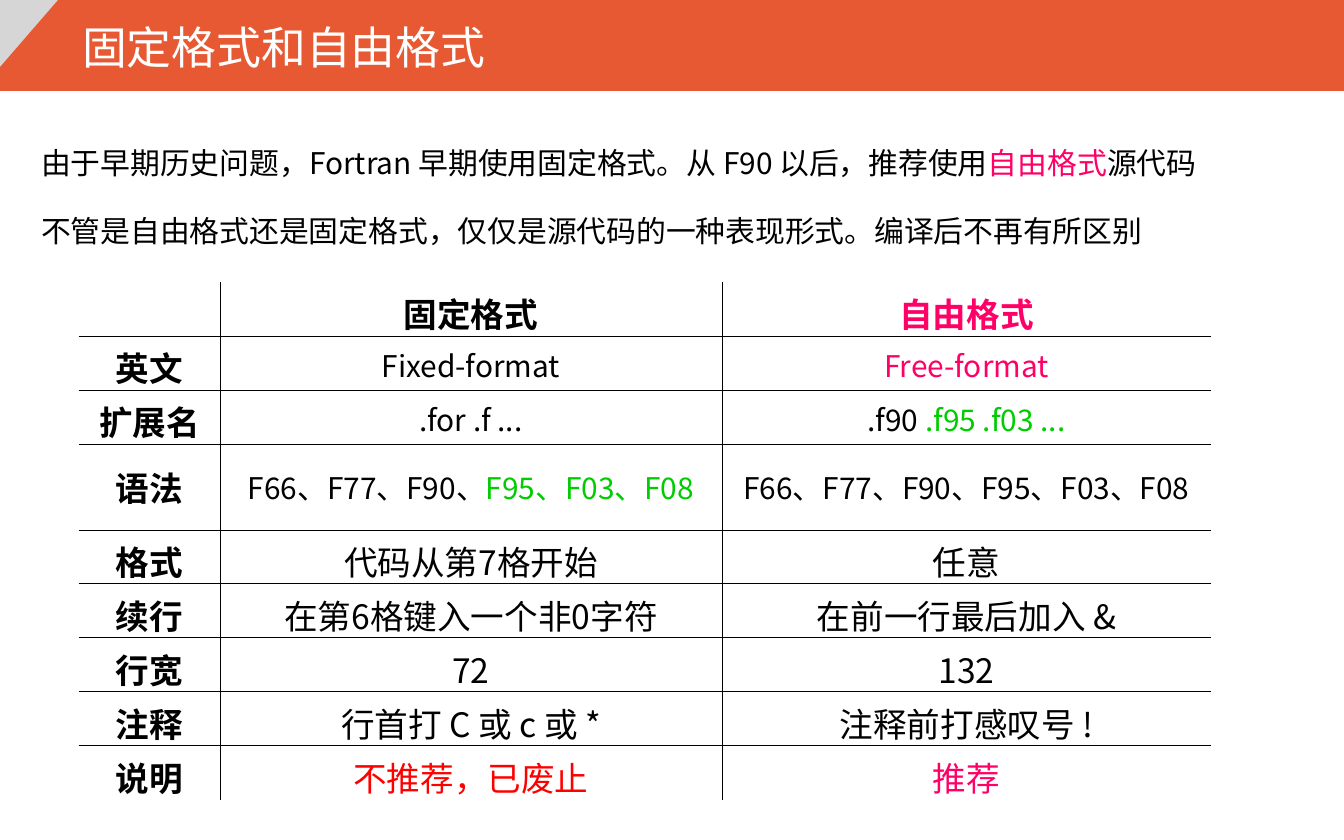
from lxml.etree import SubElement
from pptx import Presentation
from pptx.dml.color import RGBColor
from pptx.enum.shapes import MSO_SHAPE as SHAPE
from pptx.enum.text import MSO_ANCHOR as ANCHOR, PP_ALIGN as ALIGN
from pptx.oxml.ns import qn
from pptx.util import Emu, Pt

ORANGE = RGBColor(0xE7, 0x59, 0x33)
GREY = RGBColor(0xD6, 0xD6, 0xD6)
WHITE = RGBColor(0xFF, 0xFF, 0xFF)
BLACK = RGBColor(0, 0, 0)
PINK = RGBColor(0xFF, 0, 0x66)
GREEN = RGBColor(0, 0xCC, 0)
RED = RGBColor(0xFF, 0, 0)
NOTO, CALIBRI = "Noto Sans CJK SC", "Calibri"

TITLE = [[("固定格式和自由格式", WHITE)]]
INTRO = [
    [("由于早期历史问题，Fortran 早期使用固定格式。从 F90 以后，推荐使用", BLACK),
     ("自由格式", PINK), ("源代码", BLACK)],
    [("不管是自由格式还是固定格式，仅仅是源代码的一种表现形式。编译后不再有所区别", BLACK)],
]
ROWS = [
    ("", [("固定格式", BLACK)], [("自由格式", PINK)]),
    ("英文", [("Fixed-format", BLACK)], [("Free-format", PINK)]),
    ("扩展名", [(".for .f ...", BLACK)], [(".f90 ", BLACK), (".f95 .f03 ...", GREEN)]),
    ("语法", [("F66、F77、F90、", BLACK), ("F95、F03、F08", GREEN)],
     [("F66、F77、F90、F95、F03、F08", BLACK)]),
    ("格式", [("代码从第7格开始", BLACK)], [("任意", BLACK)]),
    ("续行", [("在第6格键入一个非0字符", BLACK)], [("在前一行最后加入 &", BLACK)]),
    ("行宽", [("72", BLACK)], [("132", BLACK)]),
    ("注释", [("行首打 C 或 c 或 *", BLACK)], [("注释前打感叹号 !", BLACK)]),
    ("说明", [("不推荐，已废止", RED)], [("推荐", PINK)]),
]
COLS = [141, 502, 489]
ROW_H, TALL_ROW, TALL_H = 54, 3, 86
SMALL_ROWS = (1, 2, 3)
LAST_ROW, LAST_COL = len(ROWS) - 1, len(COLS) - 1


def px(n):
    return Emu(round(n * 914400 / 134.4))


def add_runs(p, runs, size, font=NOTO, bold=False):
    for text, color in runs:
        r = p.add_run()
        r.text = text
        r.font.size = Pt(size)
        r.font.name = font
        r.font.bold = bold
        r.font.color.rgb = color
        SubElement(r.font._element, qn("a:ea")).set("typeface", NOTO)


def add_text(x, y, w, h, paragraphs, size, spacing=None):
    tf = slide.shapes.add_textbox(px(x), px(y), px(w), px(h)).text_frame
    tf.word_wrap = True
    for i, runs in enumerate(paragraphs):
        p = tf.add_paragraph() if i else tf.paragraphs[0]
        p.line_spacing = spacing
        add_runs(p, runs, size)


def add_block(kind, w, h, color):
    s = slide.shapes.add_shape(kind, 0, 0, px(w), px(h))
    s.shadow.inherit = False
    s.fill.solid()
    s.fill.fore_color.rgb = color
    s.line.fill.background()
    return s


def set_borders(cell, row, col):
    edges = {
        "a:lnL": WHITE if col == 0 else BLACK,
        "a:lnR": WHITE if col == LAST_COL else BLACK,
        "a:lnT": BLACK if row else None,
        "a:lnB": BLACK if row < LAST_ROW else None,
    }
    tc_pr = cell._tc.get_or_add_tcPr()
    for tag, color in edges.items():
        ln = SubElement(tc_pr, qn(tag), w=str(Pt(0.45)))
        if color is None:
            SubElement(ln, qn("a:noFill"))
        else:
            fill = SubElement(ln, qn("a:solidFill"))
            SubElement(fill, qn("a:srgbClr"), val=str(color))


def fill_cell(cell, row, col, runs):
    set_borders(cell, row, col)
    cell.fill.background()
    cell.vertical_anchor = ANCHOR.MIDDLE
    heading = row == 0 or col == 0
    size = 16 if row in SMALL_ROWS and not heading else 18
    p = cell.text_frame.paragraphs[0]
    p.alignment = ALIGN.CENTER
    font = CALIBRI if heading or row == LAST_ROW else NOTO
    add_runs(p, runs, size, font, heading)


prs = Presentation()
prs.slide_width, prs.slide_height = px(1344), px(840)
slide = prs.slides.add_slide(prs.slide_layouts[6])

add_block(SHAPE.RECTANGLE, 1344, 91, ORANGE)
corner = add_block(SHAPE.RIGHT_TRIANGLE, 58, 67, GREY)
corner._element.spPr.xfrm.set("flipV", "1")
add_text(69, 13, 456, 67, TITLE, 24)

heights = [TALL_H if i == TALL_ROW else ROW_H for i in range(len(ROWS))]
frame = slide.shapes.add_table(len(ROWS), len(COLS), px(79), px(282),
                               px(sum(COLS)), px(sum(heights)))
table = frame.table
table.first_row = table.horz_banding = False
for column, width in zip(table.columns, COLS):
    column.width = px(width)
for i, (label, fixed, free) in enumerate(ROWS):
    table.rows[i].height = px(heights[i])
    label_runs = [(label, BLACK)] if label else []
    for j, runs in enumerate((label_runs, fixed, free)):
        fill_cell(table.cell(i, j), i, j, runs)

add_text(28, 106, 1269, 151, INTRO, 16, 1.9)
prs.save("out.pptx")
